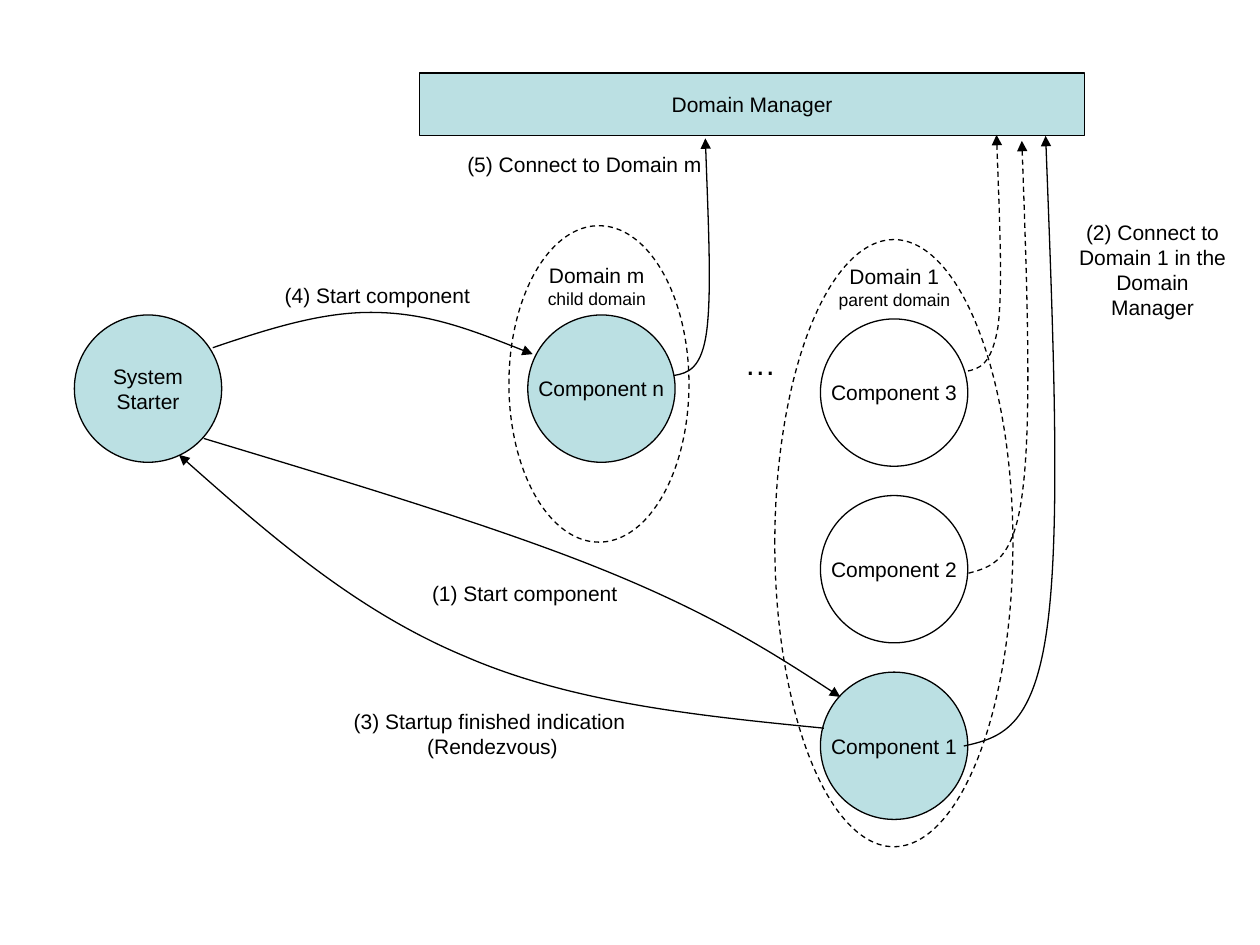
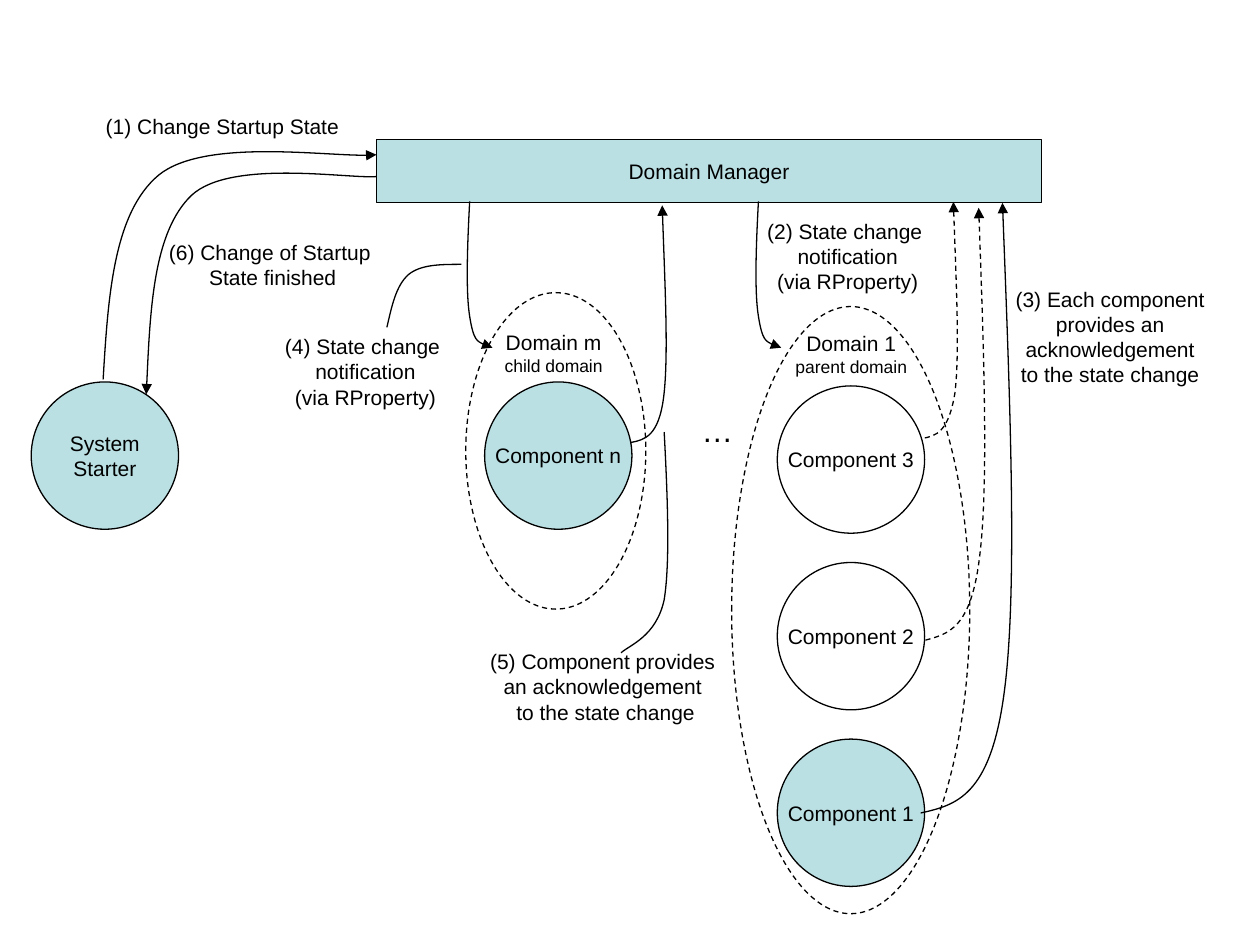
from dataclasses import dataclass
from typing import Any

import pptx
import pptx.dml.color
import pptx.enum.dml
import pptx.enum.shapes
import pptx.enum.text
import pptx.oxml
import pptx.oxml.ns
import pptx.util

Cm = pptx.util.Cm
Point = tuple[float, float]

FILLED = "BBE0E3"
WHITE = "FFFFFF"
INK = "000000"
DIAMETER = 2.97
COMPONENT_STEP = 3.56
ELLIPSE = pptx.enum.shapes.MSO_SHAPE.OVAL
RECTANGLE = pptx.enum.shapes.MSO_SHAPE.RECTANGLE

INSETS = {
    "margin_left": Cm(0.15),
    "margin_right": Cm(0.15),
    "margin_top": Cm(0.13),
    "margin_bottom": Cm(0.13),
    "word_wrap": False,
}
NODE_FRAME = INSETS | {"vertical_anchor": pptx.enum.text.MSO_ANCHOR.MIDDLE}
LABEL_FRAME = INSETS | {
    "vertical_anchor": pptx.enum.text.MSO_ANCHOR.TOP,
    "auto_size": pptx.enum.text.MSO_AUTO_SIZE.NONE,
}


@dataclass(frozen=True)
class Node:
    lines: tuple[str, ...]
    left: float
    top: float
    width: float = DIAMETER
    height: float = DIAMETER
    fill: str = FILLED
    outline: Any = ELLIPSE
    dashed: bool = False


@dataclass(frozen=True)
class Label:
    lines: tuple[str, ...]
    left: float
    top: float
    width: float
    height: float
    sizes: tuple[float, ...] = (12,)


@dataclass(frozen=True)
class Curve:
    points: tuple[Point, ...]
    arrow: str = ""
    dashed: bool = False


@dataclass(frozen=True)
class Diagram:
    shift: Point
    curves: tuple[Curve, ...]
    labels: tuple[Label, ...]


NODES = (
    Node(("System", "Starter"), 1.5, 6.35),
    Node(("Domain Manager",), 8.46, 1.47, 13.41, 1.27, outline=RECTANGLE),
    Node(("Component n",), 10.64, 6.35),
    *(
        Node((f"Component {number}",), 16.54, 6.43 + (3 - number) * COMPONENT_STEP,
             fill=FILLED if number == 1 else WHITE)
        for number in (1, 2, 3)
    ),
    Node((), 15.62, 4.83, 4.8, 12.24, fill="", dashed=True),
    Node((), 10.26, 4.55, 3.63, 6.38, fill="", dashed=True),
)

DOMAIN_LABELS = (
    Label(("…",), 14.76, 6.81, 1.14, 1.02, (18,)),
    Label(("Domain 1", "parent domain"), 16.66, 5.18, 2.74, 1.19, (12, 10)),
    Label(("Domain m", "child domain"), 10.8, 5.16, 2.46, 1.19, (12, 10)),
)

CONNECTIONS = (
    Curve(((21.08, 2.74), (21.23, 6.68), (21.39, 10.62), (21.11, 12.65),
           (20.83, 14.71), (20.14, 14.88), (19.43, 15.04)), "headEnd"),
    Curve(((20.6, 2.84), (20.7, 5.64), (20.8, 8.41), (20.62, 9.86),
           (20.45, 11.33), (19.99, 11.43), (19.51, 11.56)), "headEnd", True),
    Curve(((20.09, 2.72), (20.14, 4.24), (20.22, 5.77), (20.12, 6.58),
           (19.99, 7.37), (19.74, 7.44), (19.46, 7.49)), "headEnd", True),
    Curve(((14.22, 2.79), (14.27, 4.32), (14.35, 5.84), (14.25, 6.65),
           (14.15, 7.44), (13.87, 7.52), (13.59, 7.57)), "headEnd"),
)

NOTIFICATION_POINTS = (
    (15.29, 4.06), (15.24, 4.98), (15.21, 5.89), (15.29, 6.38),
    (15.37, 6.88), (15.54, 6.96), (15.75, 7.01),
)
CHILD_DOMAIN_OFFSET = -5.82

COMPONENT_START = Diagram(
    (0, 0),
    (
        Curve(((4.29, 7.01), (5.41, 6.63), (6.53, 6.27), (7.59, 6.3),
               (8.69, 6.32), (9.7, 6.73), (10.74, 7.14)), "tailEnd"),
        Curve(((4.11, 8.84), (7.06, 9.73), (10.01, 10.62), (12.14, 11.48),
               (14.27, 12.34), (15.62, 13.18), (16.94, 14.05)), "tailEnd"),
        Curve(((16.61, 14.68), (14.07, 14.43), (11.53, 14.17), (9.37, 13.23),
               (7.19, 12.32), (5.38, 10.74), (3.61, 9.17)), "tailEnd"),
    ),
    (
        Label(("(1) Start component",), 8.46, 11.58, 4.24, 0.76),
        Label(("(2) Connect to", "Domain 1 in the", "Domain", "Manager"),
              21.51, 4.29, 3.45, 2.79),
        Label(("(3) Startup finished indication ", "(Rendezvous)"),
              6.88, 14.15, 6.1, 1.27),
        Label(("(4) Start component",), 5.49, 5.56, 4.24, 0.76),
        Label(("(5) Connect to Domain m",), 9.17, 2.92, 5.23, 0.76),
    ),
)

STATE_CHANGE = Diagram(
    (-0.87, 1.35),
    (
        Curve(((2.08, 7.65), (2.18, 5.97), (2.29, 4.29), (3.2, 3.53),
               (4.11, 2.79), (6.91, 3.2), (7.59, 3.12)), "tailEnd"),
        Curve(((2.95, 7.95), (3.02, 6.32), (3.1, 4.67), (3.86, 3.94),
               (4.65, 3.2), (7.04, 3.61), (7.59, 3.56)), "headEnd"),
        *(
            Curve(tuple((x + offset, y) for x, y in NOTIFICATION_POINTS), "tailEnd")
            for offset in (0, CHILD_DOMAIN_OFFSET)
        ),
        Curve(((7.8, 6.6), (7.9, 6.17), (7.98, 5.77), (8.23, 5.54),
               (8.48, 5.33), (8.89, 5.33), (9.3, 5.33))),
        Curve(((13.39, 8.71), (13.46, 10.03), (13.51, 11.35), (13.39, 12.09),
               (13.23, 12.83), (12.7, 13), (12.52, 13.16))),
    ),
    (
        Label(("(1) Change Startup State",), 1.88, 2.16, 5.21, 0.76),
        Label(("(2) State change ", "notification", "(via RProperty)"),
              15.21, 4.27, 3.76, 1.78),
        Label(("(3) Each component", "provides an", "acknowledgement",
               "to the state change"), 20.22, 5.64, 4.32, 2.79),
        Label(("(4) State change ", "notification", "(via RProperty)"),
              5.49, 6.6, 3.76, 1.78),
        Label(("(5) Component provides ", "an acknowledgement ",
               "to the state change"), 9.63, 12.95, 5.16, 1.78),
        Label(("(6) Change of Startup ", "State finished"), 3.15, 4.7, 4.7, 1.27),
    ),
)


def colour(value: str) -> pptx.dml.color.RGBColor:
    return pptx.dml.color.RGBColor.from_string(value)


def apply_format(target: Any, values: dict[str, Any]) -> None:
    for name, value in values.items():
        setattr(target, name, value)


def write_lines(shape: Any, lines: tuple[str, ...], frame_format: dict[str, Any],
                sizes: tuple[float, ...] = (12,)) -> None:
    frame = shape.text_frame
    apply_format(frame, frame_format)
    for index, line in enumerate(lines):
        paragraph = frame.add_paragraph() if index else frame.paragraphs[0]
        paragraph.alignment = pptx.enum.text.PP_ALIGN.CENTER
        run = paragraph.add_run()
        run.text = line
        size = sizes[min(index, len(sizes) - 1)]
        apply_format(run.font, {"name": "Arial", "size": pptx.util.Pt(size)})
        run.font.color.rgb = colour(INK)


def paint(shape: Any, fill: str, dashed: bool) -> None:
    shape.shadow.inherit = False
    if fill:
        shape.fill.solid()
        shape.fill.fore_color.rgb = colour(fill)
    else:
        shape.fill.background()
    shape.line.width = pptx.util.Pt(0.75)
    shape.line.color.rgb = colour(INK)
    if dashed:
        shape.line.dash_style = pptx.enum.dml.MSO_LINE.DASH


def draw_node(slide: Any, node: Node, shift: Point) -> None:
    shape = slide.shapes.add_shape(
        node.outline, Cm(node.left + shift[0]), Cm(node.top + shift[1]),
        Cm(node.width), Cm(node.height))
    paint(shape, node.fill, node.dashed)
    if node.lines:
        write_lines(shape, node.lines, NODE_FRAME)


def draw_label(slide: Any, label: Label, shift: Point = (0, 0)) -> None:
    shape = slide.shapes.add_textbox(
        Cm(label.left + shift[0]), Cm(label.top + shift[1]),
        Cm(label.width), Cm(label.height))
    write_lines(shape, label.lines, LABEL_FRAME, label.sizes)


def bend_segments(shape: Any) -> None:
    tag = pptx.oxml.ns.qn
    segments = list(shape._element.iter(tag("a:lnTo")))
    for start in range(0, len(segments), 3):
        outline = segments[start].getparent()
        bend = outline.makeelement(tag("a:cubicBezTo"), {})
        outline.append(bend)
        for segment in segments[start:start + 3]:
            bend.append(segment[0])
            outline.remove(segment)


def draw_curve(slide: Any, curve: Curve, shift: Point = (0, 0)) -> None:
    points = [(Cm(x + shift[0]), Cm(y + shift[1])) for x, y in curve.points]
    builder = slide.shapes.build_freeform(*points[0])
    builder.add_line_segments(points[1:], close=False)
    shape = builder.convert_to_shape()
    bend_segments(shape)
    paint(shape, "", curve.dashed)
    if curve.arrow:
        line = shape.line._get_or_add_ln()
        line.append(line.makeelement(
            pptx.oxml.ns.qn(f"a:{curve.arrow}"), {"type": "triangle"}))


def draw_diagram(presentation: Any, diagram: Diagram) -> None:
    slide = presentation.slides.add_slide(presentation.slide_layouts[6])
    for node in NODES:
        draw_node(slide, node, diagram.shift)
    for curve in CONNECTIONS:
        draw_curve(slide, curve, diagram.shift)
    for label in DOMAIN_LABELS:
        draw_label(slide, label, diagram.shift)
    for curve in diagram.curves:
        draw_curve(slide, curve)
    for label in diagram.labels:
        draw_label(slide, label)


def main() -> None:
    presentation = pptx.Presentation()
    apply_format(presentation, {"slide_width": Cm(25.4), "slide_height": Cm(19.05)})
    for diagram in (COMPONENT_START, STATE_CHANGE):
        draw_diagram(presentation, diagram)
    presentation.save("out.pptx")


if __name__ == "__main__":
    main()
